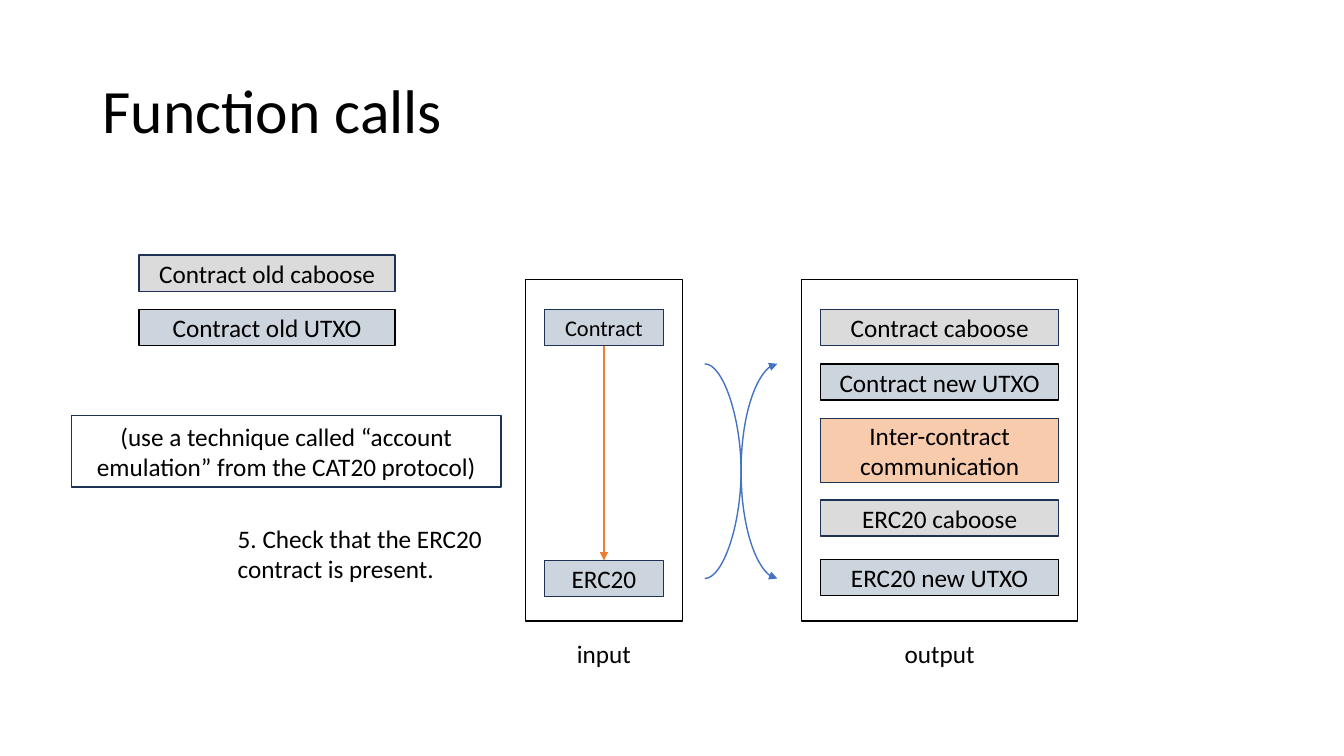
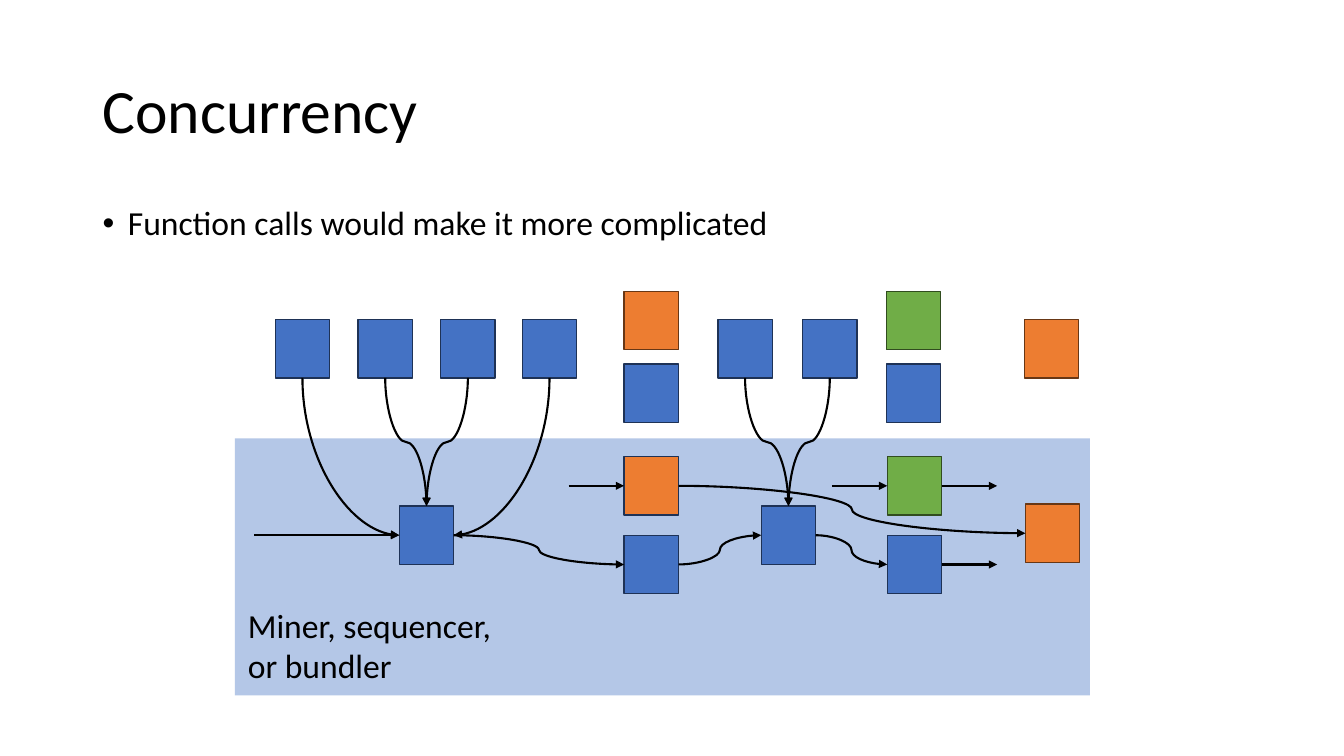
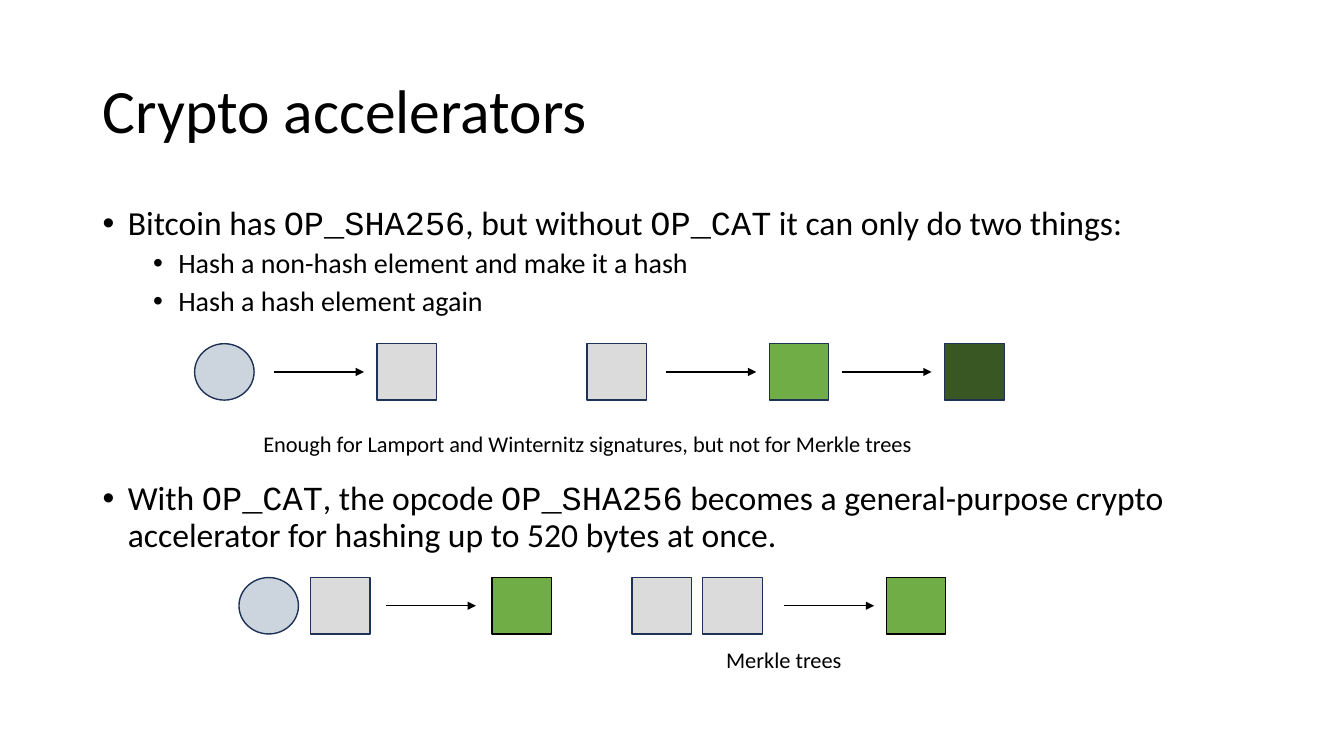
from dataclasses import dataclass

from lxml import etree
from pptx import Presentation
from pptx.dml.color import RGBColor
from pptx.enum.shapes import MSO_CONNECTOR, MSO_SHAPE
from pptx.enum.text import MSO_ANCHOR, PP_ALIGN
from pptx.oxml.ns import qn
from pptx.util import Inches, Pt

RECT, OVAL = MSO_SHAPE.RECTANGLE, MSO_SHAPE.OVAL
STRAIGHT, CURVE = MSO_CONNECTOR.STRAIGHT, MSO_CONNECTOR.CURVE
LEFT, CENTER = PP_ALIGN.LEFT, PP_ALIGN.CENTER
TOP, MIDDLE = MSO_ANCHOR.TOP, MSO_ANCHOR.MIDDLE

BLACK = RGBColor(0x00, 0x00, 0x00)
NAVY = RGBColor(0x1E, 0x32, 0x56)
BLUE = RGBColor(0x44, 0x72, 0xC4)
ORANGE = RGBColor(0xED, 0x7D, 0x31)
BROWN = RGBColor(0x68, 0x37, 0x15)
GREEN = RGBColor(0x70, 0xAD, 0x47)
MOSS = RGBColor(0x31, 0x4C, 0x1F)
FOREST = RGBColor(0x38, 0x57, 0x23)
STEEL = RGBColor(0xCC, 0xD4, 0xDE)
GREY = RGBColor(0xDB, 0xDB, 0xDB)
PEACH = RGBColor(0xF8, 0xCB, 0xAD)
PALE_BLUE = RGBColor(0xB4, 0xC7, 0xE7)

SANS, MONO = "Calibri", "Courier New"
BULLETS = ({"size": 24, "indent": 0.25, "before": 10},
           {"size": 20, "indent": 0.75, "before": 5})


@dataclass
class Box:
    """A rectangle in inches."""
    left: float
    top: float
    width: float
    height: float

    def inside(self, left, top, width, height):
        """Return a box placed relative to this one."""
        return Box(self.left + left, self.top + top, width, height)

    def lengths(self):
        """Return left, top, width and height as lengths."""
        return [Inches(value) for value in (self.left, self.top, self.width, self.height)]

    def port(self, side):
        """Return the middle point of the named side."""
        across, down = {"left": (0, 0.5), "right": (1, 0.5),
                        "top": (0.5, 0), "bottom": (0.5, 1)}[side]
        return self.left + across * self.width, self.top + down * self.height


TITLE_BOX = Box(0.92, 0.4, 11.5, 1.45)
BODY_BOX = Box(0.92, 2, 11.5, 1.9)


def apply(target, values):
    """Set each named attribute of the target."""
    for name, value in values.items():
        setattr(target, name, value)


def write_para(para, text, size, align=LEFT, **spacing):
    """Fill a paragraph; backticks enclose monospaced words."""
    apply(para, {"alignment": align, **spacing})
    for index, part in enumerate(text.split("`")):
        span = para.add_run()
        span.text = part
        apply(span.font, {"size": Pt(size), "name": MONO if index % 2 else SANS})
        span.font.color.rgb = BLACK


def add_text(page, box, lines, size, align=LEFT, anchor=TOP, **spacing):
    """Add a wrapping text box with one paragraph a line."""
    frame = page.shapes.add_textbox(*box.lengths()).text_frame
    apply(frame, {"word_wrap": True, "vertical_anchor": anchor})
    for index, line in enumerate(lines):
        para = frame.add_paragraph() if index else frame.paragraphs[0]
        write_para(para, line, size, align, **spacing)


def add_bullets(page, box, items):
    """Add a bullet list from (level, text) pairs."""
    frame = page.shapes.add_textbox(*box.lengths()).text_frame
    frame.word_wrap = True
    for index, (level, text) in enumerate(items):
        para = frame.add_paragraph() if index else frame.paragraphs[0]
        style = BULLETS[level]
        write_para(para, text, style["size"], level=level, line_spacing=0.9,
                   space_before=Pt(style["before"]))
        props = para._p.get_or_add_pPr()
        props.set("marL", str(Inches(style["indent"])))
        props.set("indent", str(Inches(-0.25)))
        etree.SubElement(props, qn("a:buFont")).set("typeface", "Arial")
        etree.SubElement(props, qn("a:buChar")).set("char", "•")


def add_block(page, box, fill=None, edge=None, text="", size=18, kind=RECT):
    """Add a preset shape with optional fill, edge and centred text."""
    shape = page.shapes.add_shape(kind, *box.lengths())
    shape.shadow.inherit = False
    if fill is None:
        shape.fill.background()
    else:
        shape.fill.solid()
        shape.fill.fore_color.rgb = fill
    if edge is None:
        shape.line.fill.background()
    else:
        shape.line.color.rgb = edge
        shape.line.width = Pt(1)
    if text:
        apply(shape.text_frame, {"word_wrap": True, "vertical_anchor": MIDDLE})
        write_para(shape.text_frame.paragraphs[0], text, size, CENTER)


def add_arrow(page, start, end, color=BLACK, width=1.0, kind=STRAIGHT):
    """Add a connector with a triangle at its end."""
    arrow = page.shapes.add_connector(kind, *[Inches(value) for value in (*start, *end)])
    arrow.line.color.rgb = color
    arrow.line.width = Pt(width)
    props = arrow.element.spPr
    etree.SubElement(props.find(qn("a:ln")), qn("a:tailEnd")).set("type", "triangle")
    etree.SubElement(props, qn("a:effectLst"))
    return arrow


def add_falling_curve(page, start, end, single_bend):
    """Add a curved arrow that leaves its start point downwards."""
    middle_x, middle_y = (start[0] + end[0]) / 2, (start[1] + end[1]) / 2
    half_run, half_drop = abs(end[0] - start[0]) / 2, (end[1] - start[1]) / 2
    leftward = end[0] < start[0]
    reach = half_drop if leftward else -half_drop
    arrow = add_arrow(page, (middle_x - reach, middle_y - half_run),
                      (middle_x + reach, middle_y + half_run), width=1.5, kind=CURVE)
    arrow.rotation = 90 if leftward else 270
    if single_bend:
        arrow.element.spPr.find(qn("a:prstGeom")).set("prst", "curvedConnector2")


def new_page(deck, title):
    """Add a blank slide with the shared title."""
    page = deck.slides.add_slide(deck.slide_layouts[6])
    add_text(page, TITLE_BOX, [title], 44, anchor=MIDDLE, line_spacing=0.9)
    return page


def add_transaction_side(page, box, caption, blocks):
    """Draw a framed stack of blocks with a caption below."""
    margin = 0.19
    for top, height, text, fill, edge, size in blocks:
        place = box.inside(margin, top, box.width - 2 * margin, height)
        add_block(page, place, fill, edge, text, size)
    add_block(page, box, edge=BLACK)
    label = box.inside(box.width / 2 - 0.7, box.height + 0.12, 1.4, 0.4)
    add_text(page, label, [caption], 18, CENTER)


def add_crossing(page, box):
    """Draw two curved arrows that cross."""
    right, bottom = box.left + box.width, box.top + box.height
    for start, end in ((box.top, bottom), (bottom, box.top)):
        add_arrow(page, (box.left, start), (right, end), BLUE, kind=CURVE)


def add_old_state(page, box):
    """Draw the previous caboose and output."""
    for top, text, fill, edge in ((0, "Contract old caboose", GREY, NAVY),
                                  (0.54, "Contract old UTXO", STEEL, BLACK)):
        add_block(page, box.inside(0, top, box.width, 0.36), fill, edge, text)


def function_calls(deck):
    """Build the slide on function calls."""
    page = new_page(deck, "Function calls")
    add_old_state(page, Box(1.38, 2.53, 2.54, 0.9))
    inputs = Box(5.21, 2.77, 1.56, 3.39)
    add_transaction_side(page, inputs, "input", (
        (0.3, 0.36, "Contract", STEEL, NAVY, 16),
        (2.79, 0.36, "ERC20", STEEL, NAVY, 18)))
    middle = inputs.left + inputs.width / 2
    add_arrow(page, (middle, inputs.top + 0.66), (middle, inputs.top + 2.79), ORANGE)
    add_transaction_side(page, Box(7.95, 2.77, 2.74, 3.39), "output", (
        (0.3, 0.36, "Contract caboose", GREY, NAVY, 18),
        (0.84, 0.36, "Contract new UTXO", STEEL, BLACK, 18),
        (1.38, 0.64, "Inter-contract communication", PEACH, NAVY, 18),
        (2.19, 0.36, "ERC20 caboose", GREY, NAVY, 18),
        (2.78, 0.36, "ERC20 new UTXO", STEEL, BLACK, 18)))
    add_crossing(page, Box(6.99, 3.61, 0.72, 2.13))
    add_block(page, Box(0.71, 4.12, 4.26, 0.71), edge=NAVY,
              text="(use a technique called “account emulation” from the CAT20 protocol)")
    add_text(page, Box(2.26, 5.14, 2.83, 0.71),
             ["5. Check that the ERC20 contract is present."], 18)


def add_queue_diagram(page, box):
    """Draw the pending calls and the states that the miner chains."""
    add_block(page, box.inside(0, 1.46, box.width, box.height - 1.46), PALE_BLUE)
    blue, orange, green = (BLUE, NAVY), (ORANGE, BROWN), (GREEN, MOSS)
    squares = {
        "call 1": (0.4, 0.28, blue), "call 2": (1.22, 0.28, blue),
        "call 3": (2.04, 0.28, blue), "call 4": (2.85, 0.28, blue),
        "orange call": (3.86, 0, orange), "joint call 1": (3.86, 0.72, blue),
        "call 5": (4.79, 0.28, blue), "call 6": (5.63, 0.28, blue),
        "green call": (6.46, 0, green), "joint call 2": (6.46, 0.72, blue),
        "last call": (7.83, 0.28, orange),
        "batch 1": (1.63, 2.13, blue), "batch 2": (5.22, 2.13, blue),
        "orange state": (3.86, 1.64, (ORANGE, NAVY)), "blue state 1": (3.86, 2.42, blue),
        "green state": (6.47, 1.64, green), "blue state 2": (6.47, 2.42, blue),
        "last state": (7.84, 2.11, orange)}
    places = {}
    for name, (left, top, colors) in squares.items():
        places[name] = box.inside(left, top, 0.54, 0.58)
        add_block(page, places[name], *colors)
    for call, batch, side in (
            ("call 1", "batch 1", "left"), ("call 2", "batch 1", "top"),
            ("call 3", "batch 1", "top"), ("call 4", "batch 1", "right"),
            ("call 5", "batch 2", "top"), ("call 6", "batch 2", "top")):
        add_falling_curve(page, places[call].port("bottom"), places[batch].port(side),
                          side != "top")
    for before, after in (("batch 1", "blue state 1"), ("blue state 1", "batch 2"),
                          ("batch 2", "blue state 2"), ("orange state", "last state")):
        add_arrow(page, places[before].port("right"), places[after].port("left"),
                  width=1.5, kind=CURVE)
    for name, length in (("batch 1", 1.44), ("orange state", 0.55), ("green state", 0.55)):
        x, y = places[name].port("left")
        add_arrow(page, (x - length, y), (x, y), width=1.5)
    for name in ("green state", "blue state 2"):
        x, y = places[name].port("right")
        add_arrow(page, (x, y), (x + 0.55, y), width=1.5)
    add_text(page, box.inside(0.03, 3.06, 3.37, 0.91),
             ["Miner, sequencer,", "or bundler"], 24)


def concurrency(deck):
    """Build the slide on concurrency."""
    page = new_page(deck, "Concurrency")
    add_queue_diagram(page, Box(2.33, 2.89, 8.48, 4.01))
    add_bullets(page, BODY_BOX, [(0, "Function calls would make it more complicated")])


def add_hash_chain(page, box, tokens, arrows):
    """Draw the elements of a hash chain and the arrows between them."""
    for left, kind, fill, edge in tokens:
        add_block(page, box.inside(left, 0, 0.59, box.height), fill, edge, kind=kind)
    y = box.top + box.height / 2
    for left in arrows:
        add_arrow(page, (box.left + left, y), (box.left + left + 0.89, y))


def crypto_accelerators(deck):
    """Build the slide on crypto accelerators."""
    page = new_page(deck, "Crypto accelerators")
    add_bullets(page, BODY_BOX, [
        (0, "Bitcoin has `OP_SHA256`, but without `OP_CAT` it can only do two things:"),
        (1, "Hash a non-hash element and make it a hash"),
        (1, "Hash a hash element again")])
    add_bullets(page, Box(0.92, 4.73, 11.5, 1.12), [
        (0, "With `OP_CAT`, the opcode `OP_SHA256` becomes a general-purpose crypto "
            "accelerator for hashing up to 520 bytes at once.")])
    data, digest = (OVAL, STEEL, NAVY), (RECT, GREY, NAVY)
    rehash, third = (RECT, GREEN, NAVY), (RECT, FOREST, NAVY)
    joined = (RECT, GREEN, BLACK)
    for left, top, width, tokens, arrows in (
            (1.93, 3.41, 2.4, ((0, *data), (1.81, *digest)), (0.79,)),
            (5.82, 3.41, 4.14, ((0, *digest), (1.81, *rehash), (3.55, *third)), (0.79, 2.53)),
            (2.37, 5.73, 3.1, ((0, *data), (0.71, *digest), (2.51, *joined)), (1.46,)),
            (6.27, 5.73, 3.11, ((0, *digest), (0.7, *digest), (2.52, *joined)), (1.51,))):
        add_hash_chain(page, Box(left, top, width, 0.56), tokens, arrows)
    for box, text in (
            (Box(1.85, 4.22, 7.96, 0.37),
             "Enough for Lamport and Winternitz signatures, but not for Merkle trees"),
            (Box(6.51, 6.36, 2.53, 0.37), "Merkle trees")):
        add_text(page, box, [text], 16, CENTER)


def main():
    """Build and save the deck."""
    deck = Presentation()
    apply(deck, {"slide_width": Inches(13.33), "slide_height": Inches(7.5)})
    for build in (function_calls, concurrency, crypto_accelerators):
        build(deck)
    deck.save("out.pptx")


if __name__ == "__main__":
    main()
